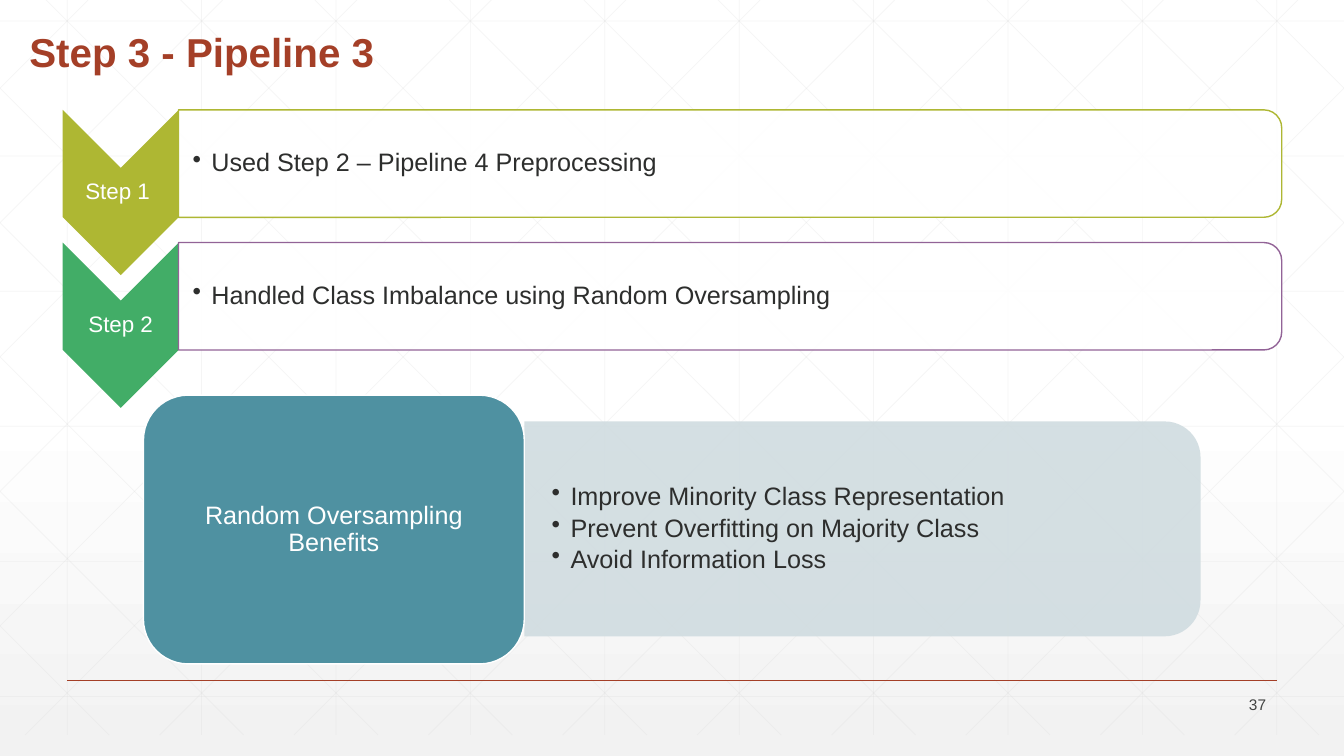
from lxml.etree import SubElement
from pptx import Presentation
from pptx.dml.color import RGBColor
from pptx.enum.shapes import MSO_CONNECTOR as Link, MSO_SHAPE as Preset
from pptx.enum.text import MSO_ANCHOR as Anchor, PP_ALIGN as Align
from pptx.oxml.ns import qn
from pptx.util import Pt

TITLE = "Step 3 - Pipeline 3"
STEPS = [
    ("Step 1 ", "AEB733", "AEB733", "Used Step 2 – Pipeline 4 Preprocessing"),
    ("Step 2", "42AD67", "926397", "Handled Class Imbalance using Random Oversampling"),
]
TOPIC = "Random Oversampling Benefits"
BENEFITS = [
    "Improve Minority Class Representation",
    "Prevent Overfitting on Majority Class",
    "Avoid Information Loss",
]
PAGE = "37"

THEME = {
    "font": "Arial",
    "accent": "A43F27", "ink": "2D2E2D", "muted": "424342", "white": "FFFFFF",
    "shade": "F2F2F2", "grid": "D9D9D9", "topic": "4F91A1", "benefits": "D0DCE0",
    "title_size": 28.8, "body_size": 18, "step_size": 16, "page_size": 11,
}
WIDTH, HEIGHT = 960, 540
GRID_BOTTOM, GRID_STEP = 525, 96
STEP_TOP, STEP_PITCH = 78.5, 94.75
CHEVRON_LEFT, CHEVRON_WIDTH, CHEVRON_HEIGHT = 44.75, 83, 118
PANEL_LEFT, PANEL_WIDTH, PANEL_HEIGHT = 127.5, 788, 76.75


def rgb(color):
    """Turn a hex string into a colour."""
    return RGBColor.from_string(color)


def fade(properties, percent):
    """Set the opacity of the first colour found in the given element."""
    color = next(properties.iter(qn("a:srgbClr")))
    SubElement(color, qn("a:alpha"), val=str(percent * 1000))


def add_rule(slide, start, end, color, width, opacity=100):
    """Draw a straight line between two points."""
    rule = slide.shapes.add_connector(Link.STRAIGHT, *map(Pt, (*start, *end)))
    rule.line.color.rgb, rule.line.width = rgb(color), Pt(width)
    SubElement(rule._element.spPr, qn("a:effectLst"))
    fade(rule._element.spPr, opacity)


def add_block(slide, preset, box, fill, line=None, opacity=100, turned=False):
    """Add a preset shape that covers box, turned a quarter if asked."""
    left, top, width, height = box
    if turned:
        left, top = left + (width - height) / 2, top + (height - width) / 2
        width, height = height, width
    block = slide.shapes.add_shape(preset, *map(Pt, (left, top, width, height)))
    block.rotation = 90 if turned else 0
    block.shadow.inherit = False
    block.fill.solid()
    block.fill.fore_color.rgb = rgb(fill)
    fade(block._element.spPr, opacity)
    if line:
        block.line.color.rgb, block.line.width = rgb(line), Pt(1)
    else:
        block.line.fill.background()
    return block


def write(frame, lines, size, color, align=Align.LEFT, insets=(7.2, 3.6),
          anchor=Anchor.MIDDLE, bold=False, bullets=False):
    """Fill a text frame with formatted paragraphs."""
    across, down = map(Pt, insets)
    frame_format = {
        "word_wrap": True, "vertical_anchor": anchor,
        "margin_left": across, "margin_right": across,
        "margin_top": down, "margin_bottom": down,
    }
    for name, value in frame_format.items():
        setattr(frame, name, value)
    font_format = {"name": THEME["font"], "size": Pt(size), "bold": bold}
    for index, line in enumerate(lines):
        paragraph = frame.add_paragraph() if index else frame.paragraphs[0]
        if bullets:
            indent = paragraph._p.get_or_add_pPr()
            indent.set("marL", str(Pt(13.5)))
            indent.set("indent", str(-Pt(13.5)))
            SubElement(indent, qn("a:buChar"), char="•")
        paragraph.alignment, paragraph.line_spacing = align, 0.9
        paragraph.space_before = Pt(0)
        paragraph.space_after = Pt(3 if bullets else 0)
        run = paragraph.add_run()
        run.text = line
        for name, value in font_format.items():
            setattr(run.font, name, value)
        run.font.color.rgb = rgb(color)


def add_label(slide, box, *args, **kwargs):
    """Add a text box and write in it."""
    label = slide.shapes.add_textbox(*map(Pt, box))
    write(label.text_frame, *args, **kwargs)


def draw_backdrop(slide):
    """Paint the gradient and the faint lattice."""
    backdrop = slide.background.fill
    backdrop.gradient()
    backdrop.gradient_angle = 270
    stops = ((0.53, THEME["white"]), (1, THEME["shade"]))
    for stop, (position, color) in zip(backdrop.gradient_stops, stops):
        stop.position, stop.color.rgb = position, rgb(color)

    lattice = [((48 + GRID_STEP * i, 0), (48 + GRID_STEP * i, GRID_BOTTOM)) for i in range(10)]
    lattice += [((0, 15 + 96.5 * i), (WIDTH, 15 + 96.5 * i)) for i in range(6)]
    for i in range(-5, 10):
        origin = 33 + GRID_STEP * i
        first, last = max(0, -origin), min(GRID_BOTTOM, WIDTH - origin)
        start, end = (origin + first, first), (origin + last, last)
        lattice.append((start, end))
        lattice.append(((WIDTH - start[0], first), (WIDTH - end[0], last)))
    for start, end in lattice:
        add_rule(slide, start, end, THEME["grid"], 0.5, 25)
    add_rule(slide, (48, 486), (912, 486), THEME["accent"], 1)


def draw_steps(slide):
    """Draw each step as a chevron with a panel."""
    for index, (step, chevron_color, outline, detail) in enumerate(STEPS):
        top = STEP_TOP + STEP_PITCH * index
        add_block(slide, Preset.CHEVRON, (CHEVRON_LEFT, top, CHEVRON_WIDTH, CHEVRON_HEIGHT),
                  chevron_color, turned=True)
        add_label(slide, (CHEVRON_LEFT, top + 41.5, CHEVRON_WIDTH, 35), [step],
                  THEME["step_size"], THEME["white"], Align.CENTER, (3.6, 2))
        panel = (PANEL_LEFT, top, PANEL_WIDTH, PANEL_HEIGHT)
        add_block(slide, Preset.ROUND_2_SAME_RECTANGLE, panel, THEME["white"], outline, 90, True)
        add_label(slide, panel, [detail], THEME["body_size"], THEME["ink"],
                  insets=(10, 1), bullets=True)


def draw_benefits(slide):
    """Draw the topic block and its list of benefits."""
    panel = (374.5, 301, 483, 153.5)
    add_block(slide, Preset.ROUND_2_SAME_RECTANGLE, panel, THEME["benefits"],
              opacity=90, turned=True)
    add_label(slide, panel, BENEFITS, THEME["body_size"], THEME["ink"],
              insets=(19.5, 10), bullets=True)
    topic = add_block(slide, Preset.ROUNDED_RECTANGLE, (102.5, 282.25, 272, 192),
                      THEME["topic"], THEME["white"])
    write(topic.text_frame, [TOPIC], THEME["body_size"], THEME["white"], Align.CENTER)


def main():
    """Build and save the slide."""
    deck = Presentation()
    deck.slide_width, deck.slide_height = Pt(WIDTH), Pt(HEIGHT)
    slide = deck.slides.add_slide(deck.slide_layouts[5])
    draw_backdrop(slide)
    heading = slide.shapes.title
    slide.shapes._spTree.append(heading._element)
    heading_box = {"left": 13.75, "top": 13.75, "width": 756, "height": 44}
    for name, value in heading_box.items():
        setattr(heading, name, Pt(value))
    write(heading.text_frame, [TITLE], THEME["title_size"], THEME["accent"],
          anchor=Anchor.BOTTOM, bold=True)
    draw_steps(slide)
    draw_benefits(slide)
    add_label(slide, (839.5, 495.5, 72, 17), [PAGE], THEME["page_size"], THEME["muted"],
              Align.RIGHT)
    deck.save("out.pptx")


if __name__ == "__main__":
    main()
